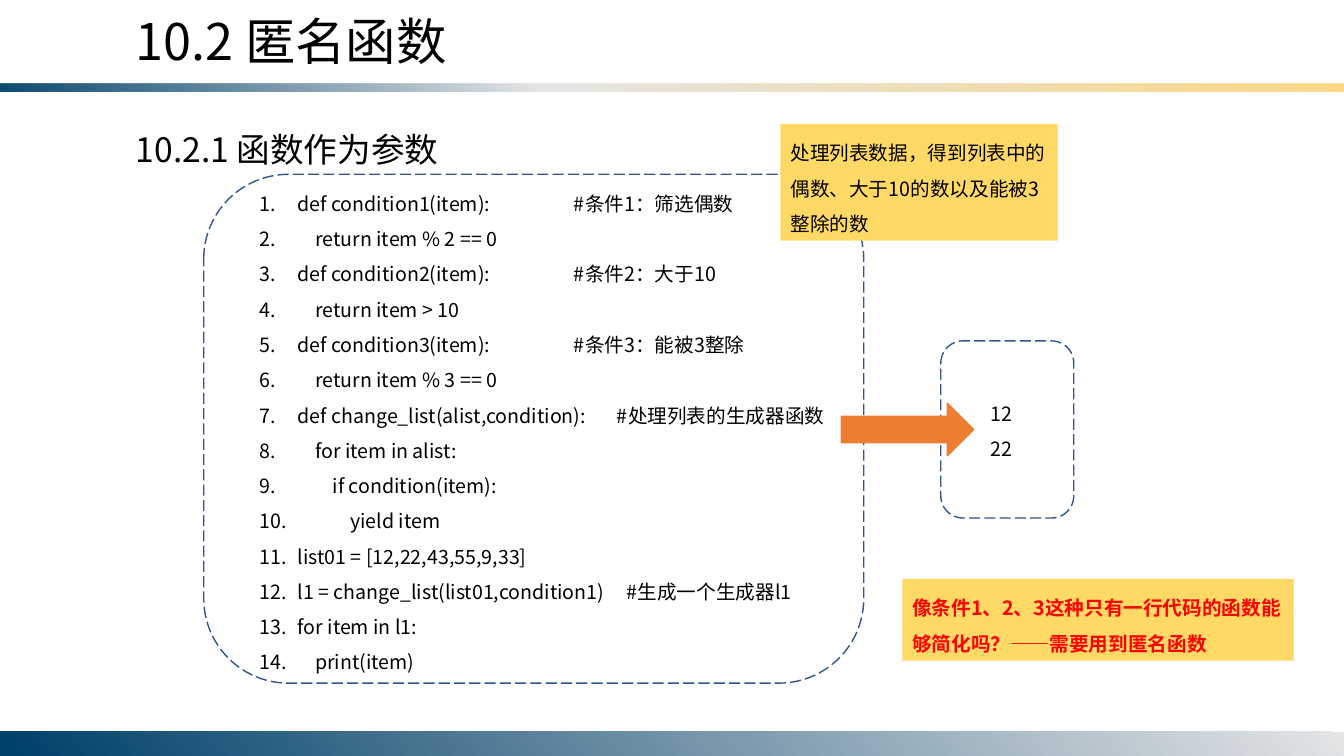
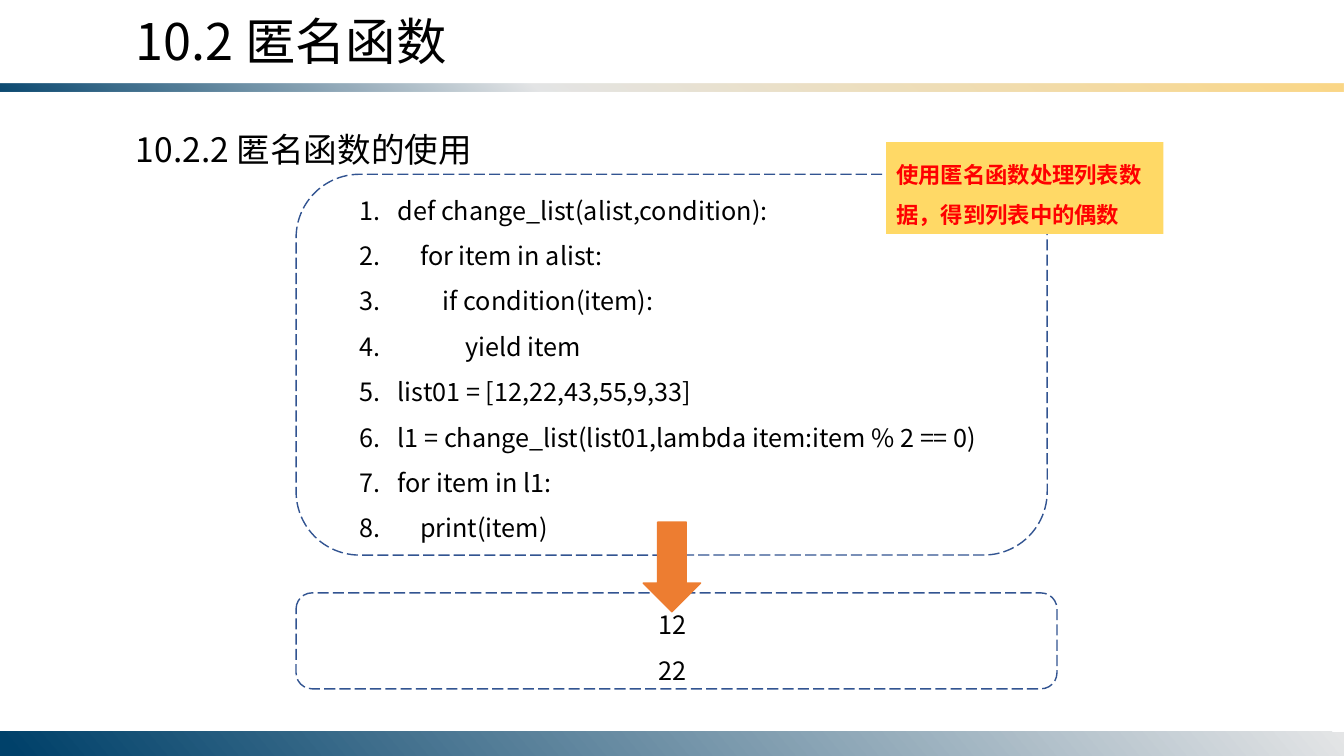
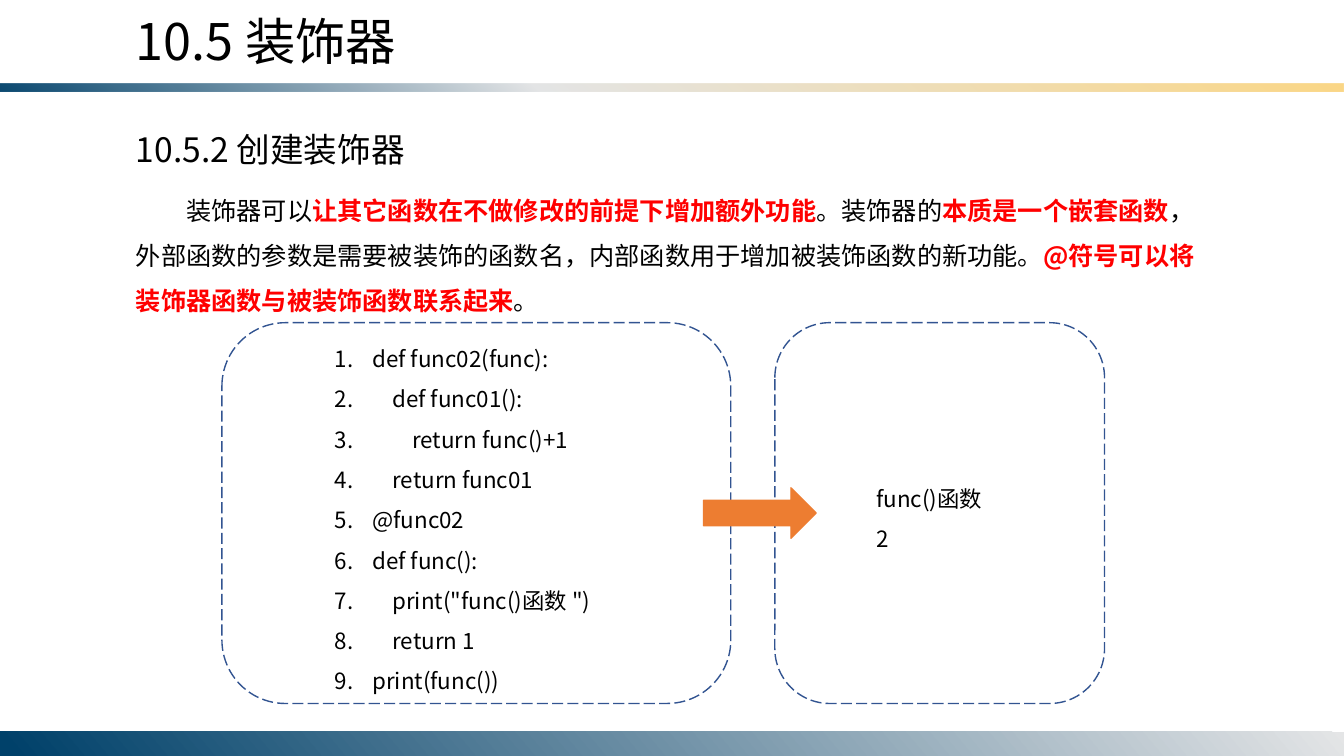
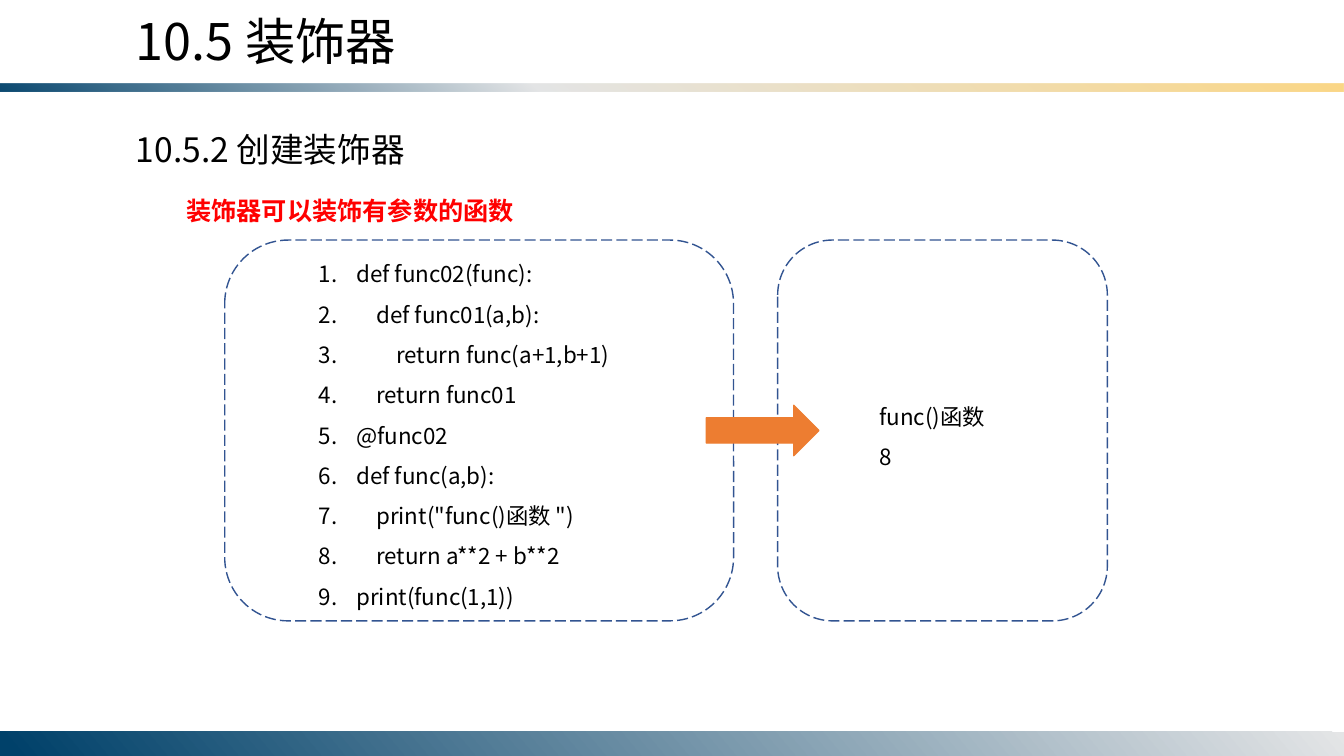
"""Build four slides on anonymous functions and decorators in Python."""
from lxml import etree
from pptx import Presentation
from pptx.dml.color import RGBColor
from pptx.enum import dml, shapes, text
from pptx.oxml import parse_xml
from pptx.oxml.ns import nsdecls, qn
from pptx.util import Pt

FONT = "Noto Sans CJK SC"
BLACK = RGBColor(0x00, 0x00, 0x00)
RED = RGBColor(0xFF, 0x00, 0x00)
YELLOW = RGBColor(0xFF, 0xD9, 0x66)
ORANGE = RGBColor(0xED, 0x7D, 0x31)
BLUE = RGBColor(0x32, 0x54, 0x91)
SHAPE = shapes.MSO_SHAPE

BANDS = [
    ((0, 59.5, 960, 6), 50, True,
     [(0, "00416A", 95), (40, "E4E5E6", 100), (100, "FBD786", 100)]),
    ((0, 522.5, 960, 17.5), 140, False,
     [(0, "E4E5E6", 100), (99, "00416A", 100)]),
]

FILTER_CODE = """\
def condition1(item):                   #条件1：筛选偶数
    return item % 2 == 0
def condition2(item):                   #条件2：大于10
    return item > 10
def condition3(item):                   #条件3：能被3整除
    return item % 3 == 0
def change_list(alist,condition):       #处理列表的生成器函数
    for item in alist:
        if condition(item):
            yield item
list01 = [12,22,43,55,9,33]
l1 = change_list(list01,condition1)     #生成一个生成器l1
for item in l1:
    print(item)"""

LAMBDA_CODE = """\
def change_list(alist,condition):
    for item in alist:
        if condition(item):
            yield item
list01 = [12,22,43,55,9,33]
l1 = change_list(list01,lambda item:item % 2 == 0)
for item in l1:
    print(item)"""

PLAIN_DECORATOR = """\
def func02(func):
    def func01():
        return func()+1
    return func01
@func02
def func():
    print("func()函数 ")
    return 1
print(func())"""

ARGS_DECORATOR = """\
def func02(func):
    def func01(a,b):
        return func(a+1,b+1)
    return func01
@func02
def func(a,b):
    print("func()函数 ")
    return a**2 + b**2
print(func(1,1))"""

HEADINGS = [
    ("10.2 匿名函数", "10.2.1 函数作为参数"),
    ("10.2 匿名函数", "10.2.2 匿名函数的使用"),
    ("10.5 装饰器", "10.5.2 创建装饰器"),
    ("10.5 装饰器", "10.5.2 创建装饰器"),
]


def add_shape(s, kind, box, fill=None, line=None):
    """Add a shadowless preset shape; without a fill its outline is dashed."""
    sp = s.shapes.add_shape(kind, *map(Pt, box))
    sp.shadow.inherit = False
    if fill is None:
        sp.fill.background()
        sp.line.dash_style = dml.MSO_LINE.LONG_DASH
    else:
        sp.fill.solid()
        sp.fill.fore_color.rgb = fill
    if line is None:
        sp.line.fill.background()
    else:
        sp.line.color.rgb = line
        sp.line.width = Pt(1)
    return sp


def add_text(s, box, content, size, spacing=1.5, fill=None, indent=0, numbered=False):
    """Add one paragraph per line; parts between bars are bold red."""
    if fill is None:
        sp = s.shapes.add_textbox(*map(Pt, box))
    else:
        sp = add_shape(s, SHAPE.RECTANGLE, box, fill)
    tf = sp.text_frame
    tf.word_wrap = True
    tf.auto_size = text.MSO_AUTO_SIZE.SHAPE_TO_FIT_TEXT
    for i, line in enumerate(content.splitlines()):
        p = tf.add_paragraph() if i else tf.paragraphs[0]
        p.alignment = text.PP_ALIGN.LEFT
        p.line_spacing = spacing
        for j, part in enumerate(line.split("|")):
            if part:
                r = p.add_run()
                r.text = part
                r.font.size = Pt(size)
                r.font.bold = j % 2 == 1
                r.font.color.rgb = RED if j % 2 else BLACK
                r.font.name = FONT
    for rPr in sp.element.iter(qn("a:rPr")):
        etree.SubElement(rPr, qn("a:ea"), typeface=FONT)
    for pPr in sp.element.iter(qn("a:pPr")):
        if numbered:
            pPr.set("marL", str(Pt(27)))
            pPr.set("indent", str(-Pt(27)))
            etree.SubElement(pPr, qn("a:buAutoNum"), type="arabicPeriod")
        elif indent:
            pPr.set("indent", str(Pt(indent)))


prs = Presentation()
prs.slide_width, prs.slide_height = Pt(960), Pt(540)
layout = prs.slide_layouts[6]
slides = [prs.slides.add_slide(layout) for _ in HEADINGS]

for box, angle, flipped, stops in BANDS:
    sp = slides[0].shapes.add_shape(SHAPE.RECTANGLE, *map(Pt, box))
    sp.shadow.inherit = False
    sp.line.fill.background()
    gs = "".join(
        f'<a:gs pos="{pos * 1000}"><a:srgbClr val="{color}">'
        f'<a:alpha val="{alpha * 1000}"/></a:srgbClr></a:gs>'
        for pos, color, alpha in stops)
    spPr = sp.element.spPr
    spPr.insert(2, parse_xml(
        f'<a:gradFill {nsdecls("a")} rotWithShape="1"><a:gsLst>{gs}</a:gsLst>'
        f'<a:lin ang="{angle * 60000}" scaled="0"/></a:gradFill>'))
    if flipped:
        spPr.find(qn("a:xfrm")).set("flipV", "1")
    layout.shapes.element.append(sp.element)

for s, (title, section) in zip(slides, HEADINGS):
    add_text(s, (90, 3.5, 440.5, 51), title, 36, spacing=1.0)
    add_text(s, (90, 88.5, 371.5, 36), section, 24, spacing=1.0)

s = slides[0]
add_text(s, (178.5, 125, 438, 363.5), FILTER_CODE, 14, numbered=True)
add_shape(s, SHAPE.ROUNDED_RECTANGLE, (145.5, 124.5, 471.5, 363.5), line=BLUE)
add_text(s, (700.5, 275, 44, 58.5), "12\n22", 14)
add_shape(s, SHAPE.ROUNDED_RECTANGLE, (672, 243.5, 95, 126.5), line=BLUE)
add_text(s, (557.5, 88.5, 198, 83.5),
         "处理列表数据，得到列表中的偶数、大于10的数以及能被3整除的数", 14, fill=YELLOW)
add_shape(s, SHAPE.RIGHT_ARROW, (601, 288, 94.5, 37.5), ORANGE, ORANGE)
add_text(s, (644.5, 413.5, 279.5, 58.5),
         "|像条件1、2、3这种只有一行代码的函数能够简化吗？——需要用到匿名函数|", 14, fill=YELLOW)

s = slides[1]
add_text(s, (250, 125, 475, 268.5), LAMBDA_CODE, 18, numbered=True)
add_text(s, (463, 421, 49, 72.5), "12\n22", 18)
add_shape(s, SHAPE.ROUNDED_RECTANGLE, (211.5, 124.5, 536.5, 272), line=BLUE)
add_shape(s, SHAPE.ROUNDED_RECTANGLE, (211.5, 423.5, 543.5, 68.5), line=BLUE)
add_shape(s, SHAPE.DOWN_ARROW, (459.5, 373, 41, 64), ORANGE, ORANGE)
add_text(s, (633, 101.5, 198, 65.5),
         "|使用匿名函数处理列表数据，得到列表中的偶数|", 16, fill=YELLOW)

DECORATORS = [
    (158.5, 230.5, (232, 233.5, 217.5, 268.5), PLAIN_DECORATOR, "2", 105,
     "装饰器可以|让其它函数在不做修改的前提下增加额外功能|。装饰器的|本质是一个嵌套函数|"
     "，外部函数的参数是需要被装饰的函数名，内部函数用于增加被装饰函数的新功能。"
     "|@符号可以将装饰器函数与被装饰函数联系起来|。"),
    (160.5, 171.5, (220.5, 173, 243.5, 268.5), ARGS_DECORATOR, "8", 39.5,
     "|装饰器可以装饰有参数的函数|"),
]
for s, (x, y, code_box, code, result, intro_height, intro) in zip(slides[2:], DECORATORS):
    add_text(s, (90, 125, 784, intro_height), intro, 18, indent=36)
    add_text(s, code_box, code, 16, numbered=True)
    add_shape(s, SHAPE.ROUNDED_RECTANGLE, (x, y, 363.5, 272), line=BLUE)
    add_text(s, (x + 460.5, y + 103, 104.5, 65.5), f"func()函数\n{result}", 16)
    add_shape(s, SHAPE.ROUNDED_RECTANGLE, (x + 395, y, 235.5, 272), line=BLUE)
    add_shape(s, SHAPE.RIGHT_ARROW, (x + 344, y + 118, 80.5, 36), ORANGE, ORANGE)

prs.save("out.pptx")
